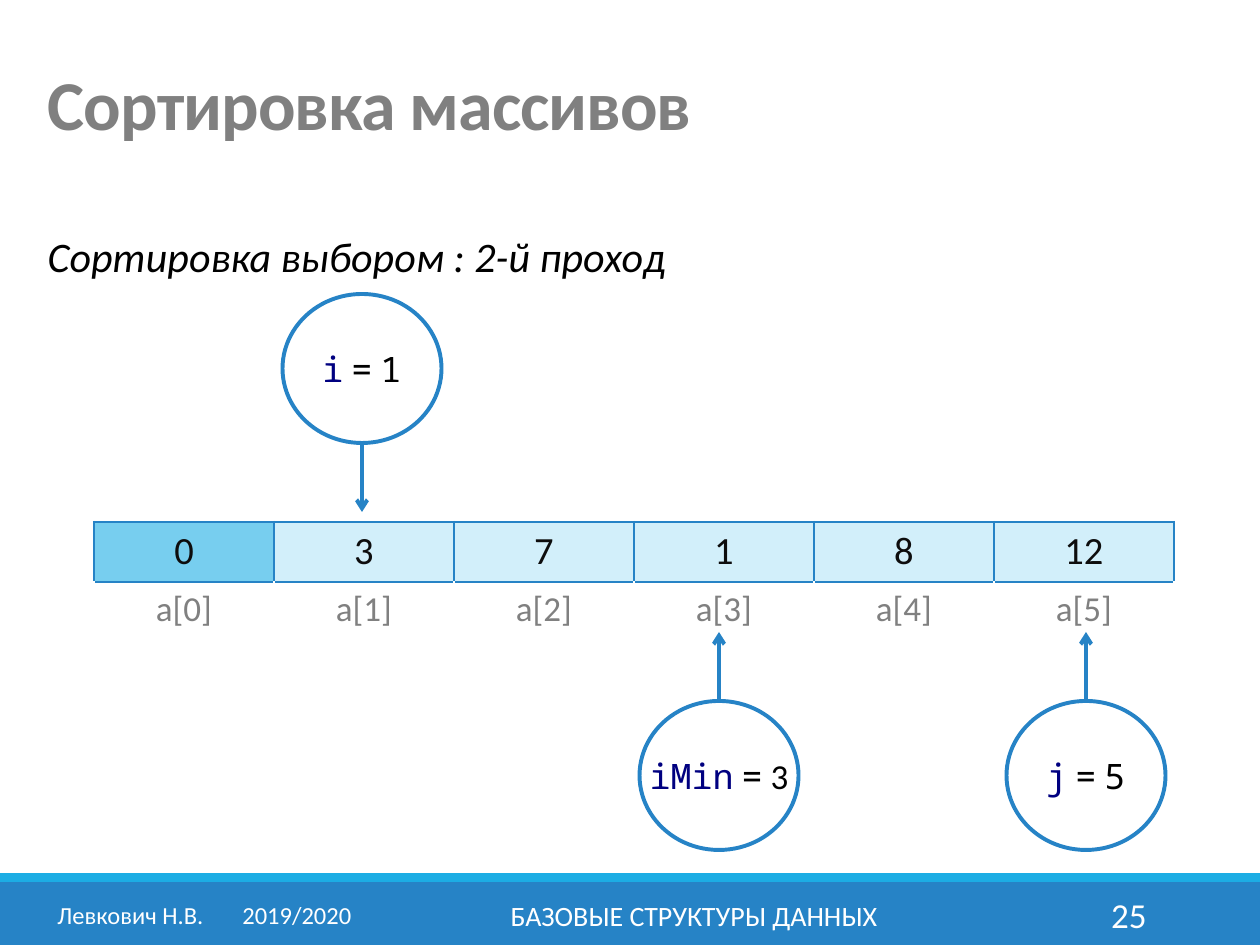
"""Build a slide that shows the second pass of selection sort on an array."""
from lxml.etree import SubElement
from pptx import Presentation
from pptx.dml.color import RGBColor
from pptx.enum.shapes import MSO_CONNECTOR as Connector, MSO_SHAPE as Shape
from pptx.enum.text import MSO_ANCHOR as Anchor, MSO_AUTO_SIZE as AutoSize, PP_ALIGN as Align
from pptx.oxml.ns import qn
from pptx.util import Pt

PX = 914400 / 126
SANS, MONO = "Calibri", "Noto Sans Mono"
BLUE, CYAN, NAVY, GRAY = "2683C6", "1CADE4", "000080", "808080"
WHITE, BLACK, INK = "FFFFFF", "000000", "0D0D0D"
SORTED_FILL, UNSORTED_FILL = "77CEEF", "D2EFFA"

TITLE = "Сортировка массивов"
SUBTITLE = "Сортировка выбором : 2-й проход"
VALUES = [0, 3, 7, 1, 8, 12]
SORTED_COUNT = 1
BANDS = [((0, 882, 1260, 63), BLUE), ((0, 873, 1260, 9), CYAN)]
FOOTER = [
    ("Левкович Н.В.\t2019/2020", 40, 329, 14, Align.CENTER),
    ("БАЗОВЫЕ СТРУКТУРЫ ДАННЫХ", 381, 626, 16, Align.CENTER),
    ("25", 1023, 136, 20, Align.RIGHT),
]
FOOTER_TOP, FOOTER_HEIGHT, FOOTER_TAB = 890, 50, 185
TABLE_LEFT, TABLE_TOP, COLUMN_WIDTH, ROW_HEIGHTS = 94, 522, 180, (60, 53)
CIRCLE_WIDTH, CIRCLE_HEIGHT, ARROW_LENGTH = 159, 149, 69
POINTERS = [
    (362, 294, "down", [("i", MONO, NAVY), (" ", SANS, NAVY), ("=", MONO, BLACK),
                        (" ", SANS, BLACK), ("1", MONO, BLACK)]),
    (719, 701, "up", [("iMin", MONO, NAVY), (" ", SANS, BLACK), ("=", MONO, BLACK),
                      (" 3", SANS, BLACK)]),
    (1086, 701, "up", [("j", MONO, NAVY), (" ", SANS, NAVY), ("=", MONO, BLACK),
                       (" ", SANS, BLACK), ("5", MONO, BLACK)]),
]


def px(*lengths):
    return [round(length * PX) for length in lengths]


def color(value):
    return RGBColor.from_string(value)


def style(font, size, value, name=SANS):
    font.size, font.name = Pt(size), name
    font.color.rgb = color(value)


def fill_placeholder(shape, box, text, size, value):
    shape.left, shape.top, shape.width, shape.height = px(*box)
    frame = shape.text_frame
    frame.auto_size, frame.word_wrap = AutoSize.NONE, True
    paragraph = frame.paragraphs[0]
    paragraph.text, paragraph.alignment = text, Align.LEFT
    properties = paragraph._p.get_or_add_pPr()
    properties.set("marL", "0")
    properties.set("indent", "0")
    SubElement(properties, qn("a:buNone"))
    paragraph.space_before = Pt(0)
    style(paragraph.font, size, value)
    return paragraph


def add_bands(slide):
    for box, value in BANDS:
        band = slide.shapes.add_shape(Shape.RECTANGLE, *px(*box))
        band.shadow.inherit = False
        band.fill.solid()
        band.fill.fore_color.rgb = color(value)
        band.line.fill.background()


def add_footer(slide):
    for text, left, width, size, align in FOOTER:
        box = slide.shapes.add_textbox(*px(left, FOOTER_TOP, width, FOOTER_HEIGHT))
        frame = box.text_frame
        frame.word_wrap, frame.vertical_anchor = True, Anchor.MIDDLE
        paragraph = frame.paragraphs[0]
        paragraph.alignment = align
        if "\t" in text:
            tabs = SubElement(paragraph._p.get_or_add_pPr(), qn("a:tabLst"))
            SubElement(tabs, qn("a:tab"), pos=str(px(FOOTER_TAB)[0]), algn="l")
        paragraph.add_run().text = text
        style(paragraph.font, size, WHITE)


def set_cell(cell, text, size, value, fill, borders):
    paragraph = cell.text_frame.paragraphs[0]
    paragraph.text, paragraph.alignment = text, Align.CENTER
    style(paragraph.font, size, value)
    properties = cell._tc.get_or_add_tcPr()
    for side, (line_color, width) in zip("LRTB", borders):
        line = SubElement(properties, qn(f"a:ln{side}"), w=str(Pt(width)))
        solid = SubElement(line, qn("a:solidFill"))
        SubElement(solid, qn("a:srgbClr"), val=line_color)
    cell.fill.solid()
    cell.fill.fore_color.rgb = color(fill)


def add_array(slide):
    count = len(VALUES)
    box = px(TABLE_LEFT, TABLE_TOP, COLUMN_WIDTH * count, sum(ROW_HEIGHTS))
    table = slide.shapes.add_table(2, count, *box).table
    table.first_row = table.horz_banding = False
    for row, height in zip(table.rows, px(*ROW_HEIGHTS)):
        row.height = height
    blue, white = (BLUE, 1.5), (WHITE, 1)
    for index, value in enumerate(VALUES):
        table.columns[index].width = px(COLUMN_WIDTH)[0]
        fill = SORTED_FILL if index < SORTED_COUNT else UNSORTED_FILL
        set_cell(table.cell(0, index), str(value), 22, INK, fill, [blue] * 4)
        label = table.cell(1, index)
        set_cell(label, f"a[{index}]", 20, GRAY, WHITE, [white, white, blue, white])
        label.vertical_anchor = Anchor.MIDDLE


def add_pointer(slide, center, top, direction, runs):
    if direction == "down":
        start, end = top + CIRCLE_HEIGHT, top + CIRCLE_HEIGHT + ARROW_LENGTH
    else:
        start, end = top, top - ARROW_LENGTH
    arrow = slide.shapes.add_connector(Connector.STRAIGHT, *px(center, start, center, end))
    SubElement(arrow.line._get_or_add_ln(), qn("a:tailEnd"), type="arrow")
    SubElement(arrow._element.spPr, qn("a:effectLst"))

    box = px(center - CIRCLE_WIDTH / 2, top, CIRCLE_WIDTH, CIRCLE_HEIGHT)
    circle = slide.shapes.add_shape(Shape.OVAL, *box)
    circle.shadow.inherit = False
    circle.fill.background()
    for shape in (arrow, circle):
        shape.line.color.rgb, shape.line.width = color(BLUE), Pt(2.25)
    frame = circle.text_frame
    frame.word_wrap, frame.vertical_anchor = False, Anchor.MIDDLE
    frame.margin_left = frame.margin_right = frame.margin_top = frame.margin_bottom = 0
    paragraph = frame.paragraphs[0]
    paragraph.alignment = Align.CENTER
    for text, name, value in runs:
        run = paragraph.add_run()
        run.text = text
        style(run.font, 20, value, name)


def main():
    presentation = Presentation()
    presentation.slide_width, presentation.slide_height = px(1260, 945)
    slide = presentation.slides.add_slide(presentation.slide_layouts[1])
    title, body = slide.placeholders
    heading = fill_placeholder(title, (35, 37, 1191, 145), TITLE, 40, GRAY)
    heading.font.bold, heading.line_spacing = True, 0.85
    heading.runs[0]._r.get_or_add_rPr().set("spc", "-50")
    title.text_frame.vertical_anchor = Anchor.MIDDLE
    subtitle = fill_placeholder(body, (35, 224, 1160, 63), SUBTITLE, 24, BLACK)
    subtitle.font.italic = True
    add_bands(slide)
    add_footer(slide)
    add_array(slide)
    for pointer in POINTERS:
        add_pointer(slide, *pointer)
    presentation.save("out.pptx")


if __name__ == "__main__":
    main()
